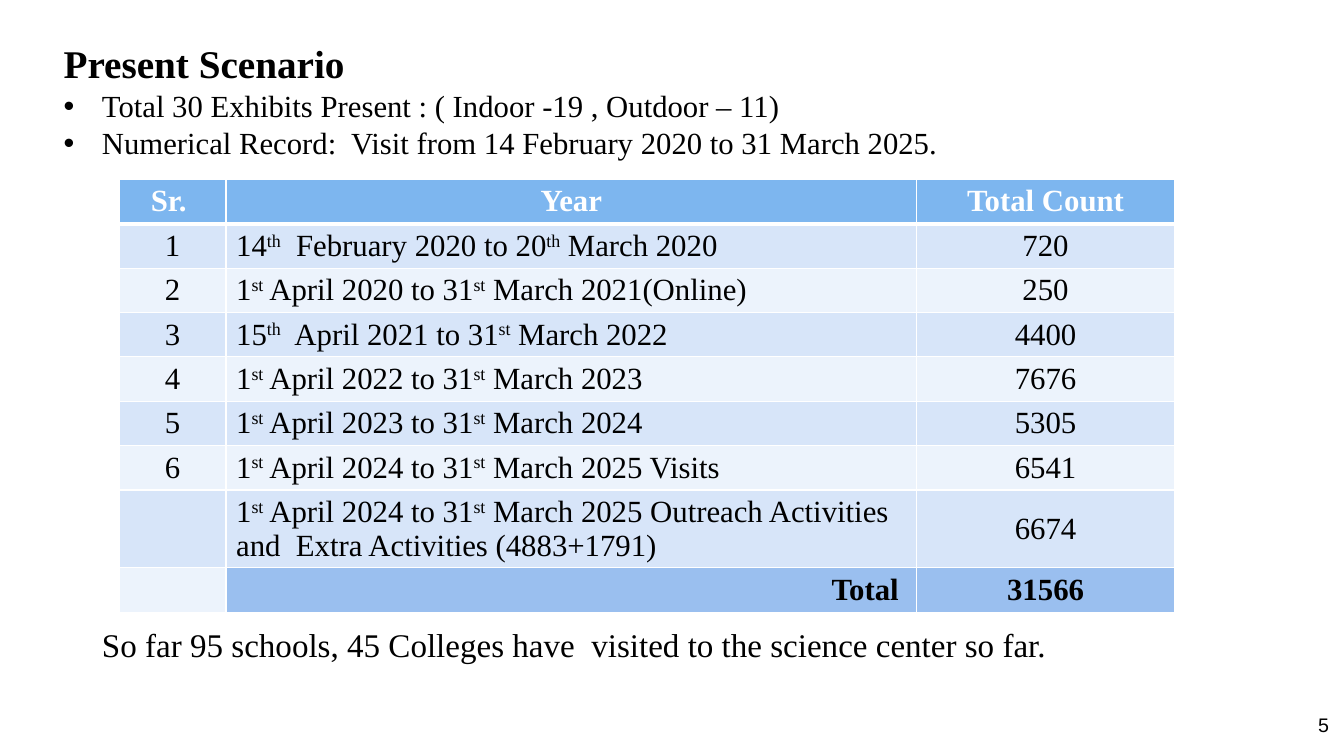
"""Build the Present Scenario slide with its visitor count table."""
from lxml import etree
from pptx import Presentation
from pptx.dml.color import RGBColor
from pptx.enum.text import MSO_ANCHOR, PP_ALIGN
from pptx.oxml.ns import qn
from pptx.util import Inches, Pt

LEFT, CENTER, RIGHT = PP_ALIGN.LEFT, PP_ALIGN.CENTER, PP_ALIGN.RIGHT
MIDDLE = MSO_ANCHOR.MIDDLE
SLIDE_WIDTH, SLIDE_HEIGHT = Inches(13.33), Inches(7.5)
SERIF, SANS = "Times New Roman", "Arial"
COLORS = {
    "text": "000000",
    "white": "FFFFFF",
    "header": "7DB6EF",
    "odd": "D7E5F9",
    "even": "ECF3FC",
    "total": "9ABFEF",
}
BOXES = {
    "heading": (0.04, 0.052, 0.9212, 0.16),
    "visits": (0.0885, 0.2373, 0.7855, 0.528),
    "closing": (0.0685, 0.8255, 0.8927, 0.08),
    "page": (0.763, 0.936, 0.2333, 0.0633),
}
COLUMN_SHARES = (0.1015, 0.654, 0.2445)
ROW_SHARE = 0.0587
CELL_MARGIN = Inches(0.02)
BULLET_INDENT = Inches(0.38)
BULLETS = (
    "Total 30 Exhibits Present : ( Indoor -19 , Outdoor – 11)",
    "Numerical Record:  Visit from 14 February 2020 to 31 March 2025.",
)
VISITS = (
    ("Sr. ", "Year", "Total Count"),
    ("1", "14^th^  February 2020 to 20^th^ March 2020", "720"),
    ("2", "1^st^ April 2020 to 31^st^ March 2021(Online)", "250"),
    ("3", "15^th^  April 2021 to 31^st^ March 2022", "4400"),
    ("4", "1^st^ April 2022 to 31^st^ March 2023", "7676"),
    ("5", "1^st^ April 2023 to 31^st^ March 2024", "5305"),
    ("6", "1^st^ April 2024 to 31^st^ March 2025 Visits", "6541"),
    ("", "1^st^ April 2024 to 31^st^ March 2025 Outreach Activities  "
         "and  Extra Activities (4883+1791)", "6674"),
    ("", "Total ", "31566"),
)


def scale(box):
    """Turn shares of the slide into lengths."""
    left, top, width, height = box
    return (int(left * SLIDE_WIDTH), int(top * SLIDE_HEIGHT),
            int(width * SLIDE_WIDTH), int(height * SLIDE_HEIGHT))


def write(paragraph, text, size, color="text", bold=False, name=SERIF, **layout):
    """Write text into a paragraph, raising the parts between carets."""
    for key, value in layout.items():
        setattr(paragraph, key, value)
    font_values = {"size": Pt(size), "bold": bold, "name": name}
    for index, part in enumerate(text.split("^")):
        run = paragraph.add_run()
        run.text = part
        for key, value in font_values.items():
            setattr(run.font, key, value)
        run.font.color.rgb = RGBColor.from_string(COLORS[color])
        if index % 2:
            run.font._element.set("baseline", "30000")


def add_bullet(paragraph):
    """Give a paragraph a round bullet and a hanging indent."""
    properties = paragraph._p.get_or_add_pPr()
    properties.set("marL", str(BULLET_INDENT))
    properties.set("indent", str(-BULLET_INDENT))
    etree.SubElement(properties, qn("a:buFont")).set("typeface", SANS)
    etree.SubElement(properties, qn("a:buChar")).set("char", "•")


def add_text_frame(slide, box):
    """Add a wrapping text box and return its text frame."""
    text_frame = slide.shapes.add_textbox(*scale(box)).text_frame
    text_frame.word_wrap = True
    return text_frame


def add_heading(slide, box):
    """Add the title and the bullets below it."""
    text_frame = add_text_frame(slide, box)
    write(text_frame.paragraphs[0], "Present Scenario", 28, bold=True, line_spacing=0.9)
    for text in BULLETS:
        paragraph = text_frame.add_paragraph()
        add_bullet(paragraph)
        write(paragraph, text, 21.9, line_spacing=0.9, space_before=Pt(3))


def set_borders(cell, widths):
    """Draw white borders of the given widths in points."""
    properties = cell._tc.get_or_add_tcPr()
    for index, (side, width) in enumerate(widths.items()):
        line = etree.Element(qn(f"a:ln{side}"), w=str(Pt(width)))
        fill = etree.SubElement(line, qn("a:solidFill"))
        etree.SubElement(fill, qn("a:srgbClr")).set("val", COLORS["white"])
        properties.insert(index, line)


def fill_cell(cell, text, row, column):
    """Write and format one cell by its place in the table."""
    is_header, is_total = row == 0, row == len(VISITS) - 1
    if is_header:
        fill = "header"
    elif is_total and column:
        fill = "total"
    else:
        fill = "odd" if row % 2 else "even"
    alignment = CENTER
    if column == 1 and not is_header:
        alignment = RIGHT if is_total else LEFT
    cell.fill.solid()
    cell.fill.fore_color.rgb = RGBColor.from_string(COLORS[fill])
    cell_values = {"vertical_anchor": MIDDLE, "margin_top": CELL_MARGIN,
                   "margin_bottom": CELL_MARGIN}
    for key, value in cell_values.items():
        setattr(cell, key, value)
    set_borders(cell, {"L": 1, "R": 1, "T": 3 if row == 1 else 1, "B": 3 if is_header else 1})
    if text:
        write(cell.text_frame.paragraphs[0], text, 22, "white" if is_header else "text",
              is_header or is_total, alignment=alignment)


def add_visits_table(slide, box):
    """Add the table of visitor counts."""
    left, top, width, height = scale(box)
    table = slide.shapes.add_table(len(VISITS), len(COLUMN_SHARES),
                                   left, top, width, height).table
    for column, share in zip(table.columns, COLUMN_SHARES):
        column.width = int(share * width)
    for row in table.rows:
        row.height = int(ROW_SHARE * SLIDE_HEIGHT)
    for row, texts in enumerate(VISITS):
        for column, text in enumerate(texts):
            fill_cell(table.cell(row, column), text, row, column)


def add_closing(slide, box):
    """Add the closing sentence."""
    text = "So far 95 schools, 45 Colleges have  visited to the science center so far."
    write(add_text_frame(slide, box).paragraphs[0], text, 23.6, line_spacing=0.9)


def add_page_number(slide, box):
    """Add the page number at the right edge."""
    write(add_text_frame(slide, box).paragraphs[0], "5", 14, name=SANS, alignment=RIGHT)


def main():
    """Build and save the presentation."""
    presentation = Presentation()
    presentation.slide_width, presentation.slide_height = SLIDE_WIDTH, SLIDE_HEIGHT
    slide = presentation.slides.add_slide(presentation.slide_layouts[6])
    add_heading(slide, BOXES["heading"])
    add_visits_table(slide, BOXES["visits"])
    add_closing(slide, BOXES["closing"])
    add_page_number(slide, BOXES["page"])
    presentation.save("out.pptx")


if __name__ == "__main__":
    main()
